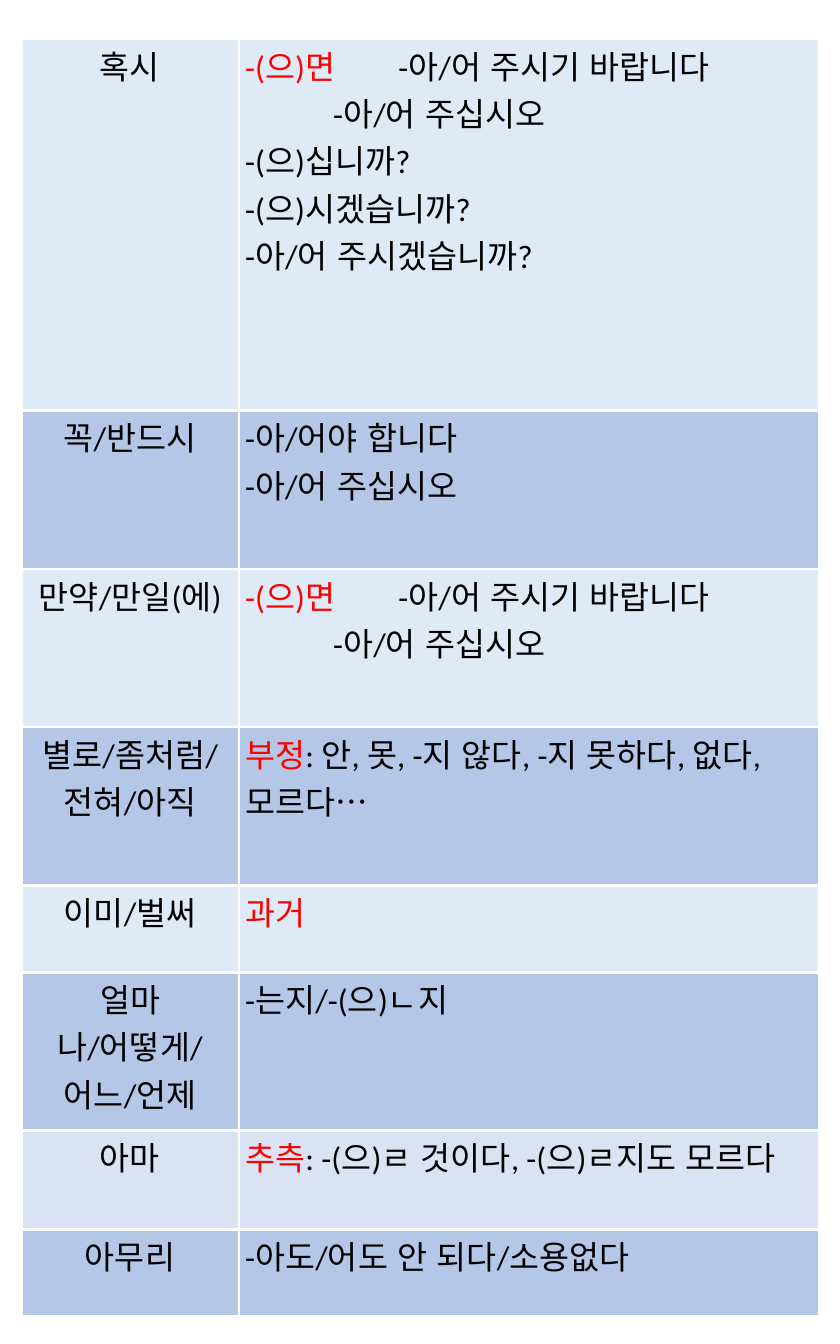
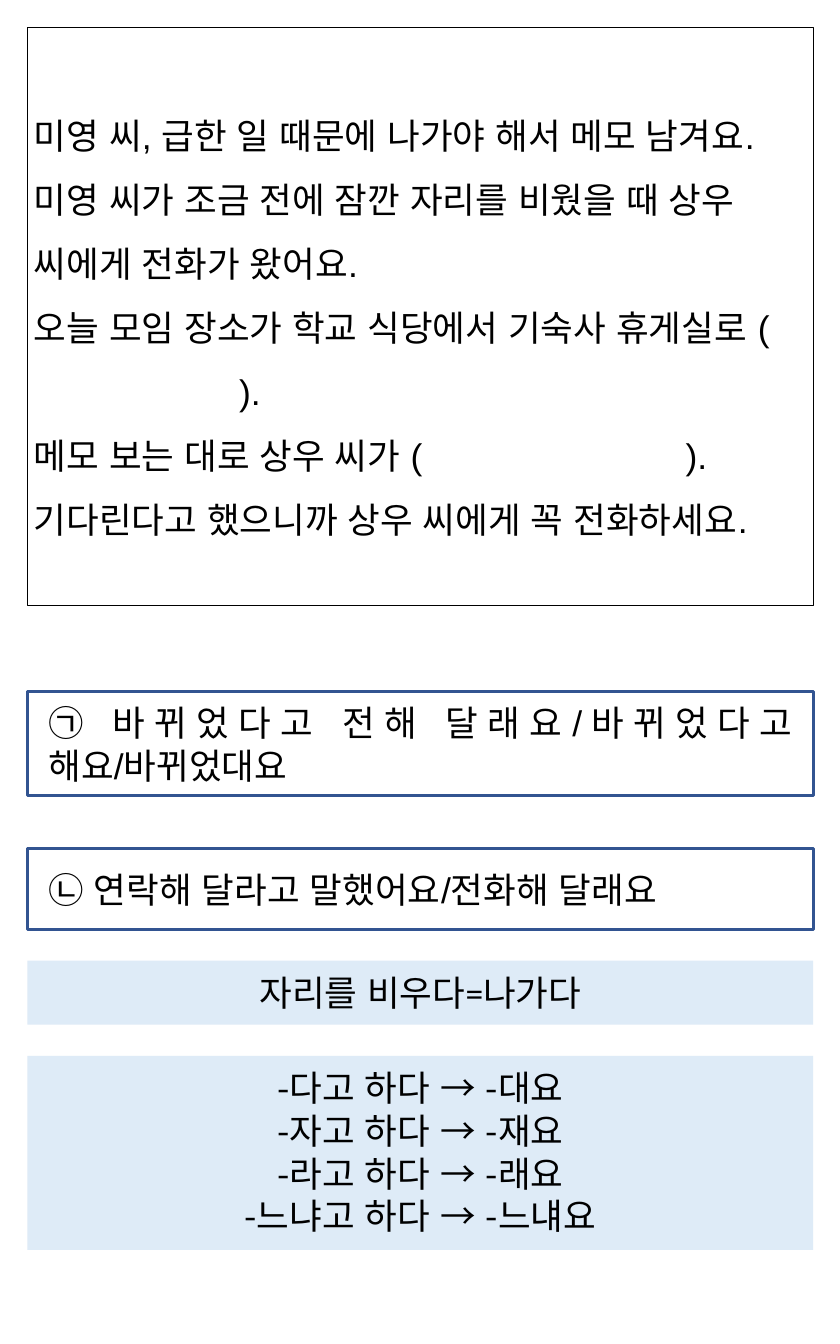
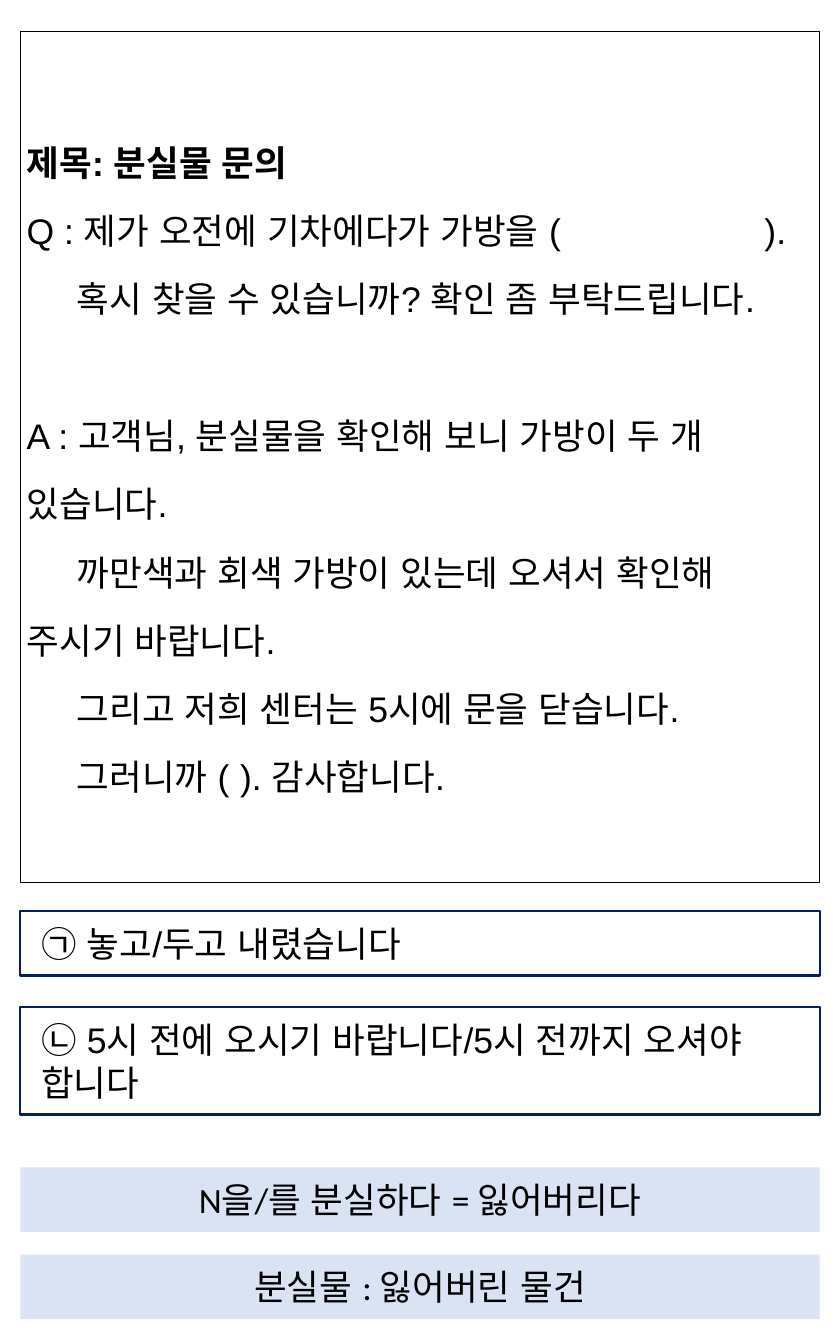
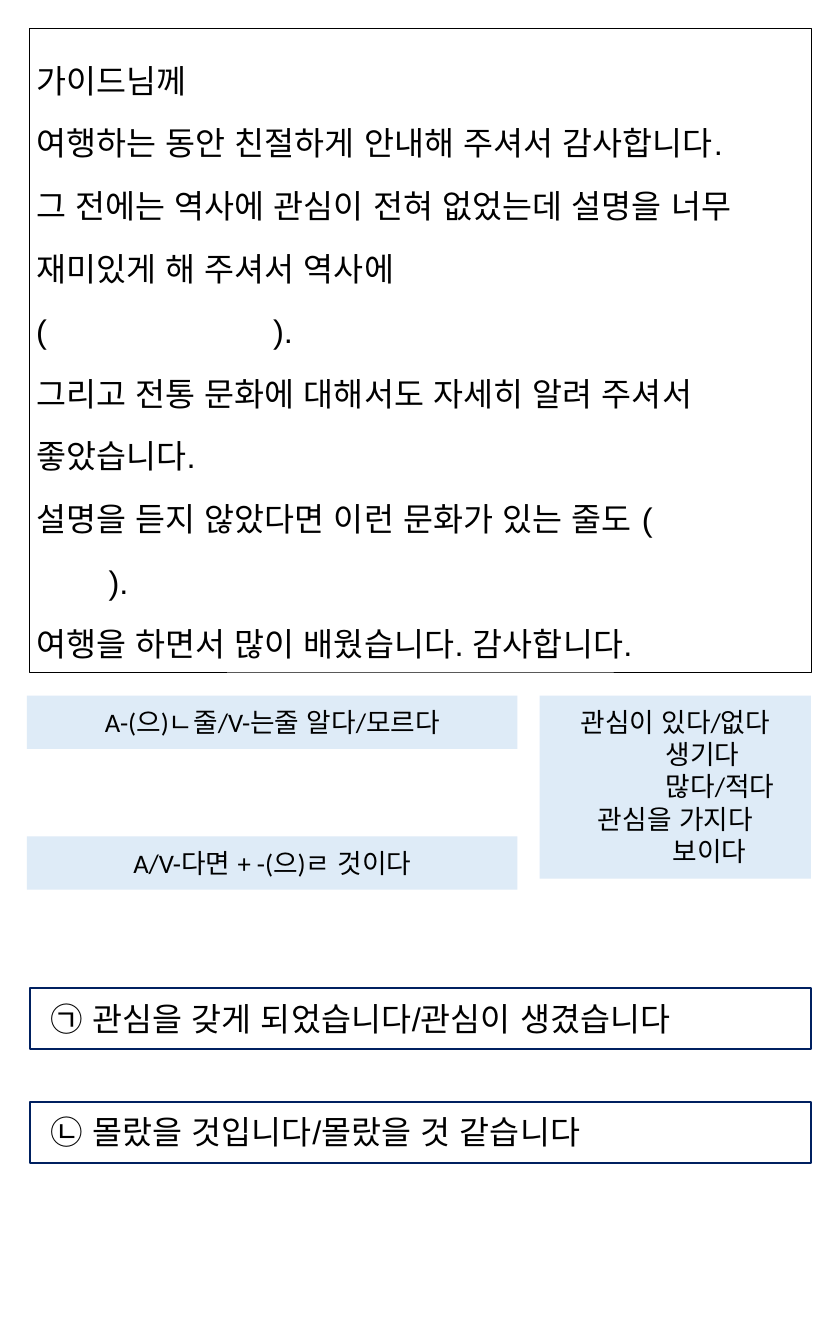
from dataclasses import dataclass

from lxml import etree
from pptx import Presentation
from pptx.dml.color import RGBColor
from pptx.enum.lang import MSO_LANGUAGE_ID
from pptx.enum.shapes import MSO_SHAPE
from pptx.enum.text import MSO_ANCHOR, PP_ALIGN
from pptx.oxml.ns import qn
from pptx.util import Pt

RECT = MSO_SHAPE.RECTANGLE
KOREAN = MSO_LANGUAGE_ID.KOREAN
TOP, MIDDLE = MSO_ANCHOR.TOP, MSO_ANCHOR.MIDDLE
LEFT, CENTER, JUSTIFY = PP_ALIGN.LEFT, PP_ALIGN.CENTER, PP_ALIGN.JUSTIFY

BLACK, WHITE, RED = "000000", "FFFFFF", "FF0000"
PALE, BLUE, LAVENDER = "DEEBF7", "B4C7E7", "DAE3F3"
NAVY, ROYAL = "002060", "325491"
SANS, BODY, HANGUL = "Arial", "Calibri", "Noto Sans CJK KR"
TIGHT = (2.16, 0.72)
ROOMY = (7.2, 3.6)


@dataclass
class Para:
    """One paragraph; lead is a red opening, lengths are in points."""
    text: str
    lead: str = ""
    margin: float = 0
    first: float = 0
    tab: float = 0
    before: float = 0
    bold: bool = False
    align: PP_ALIGN | None = None


def rgb(value):
    return RGBColor.from_string(value)


def add_tab(p, position):
    tabs = etree.SubElement(p._p.get_or_add_pPr(), qn("a:tabLst"))
    etree.SubElement(tabs, qn("a:tab"), pos=str(Pt(position)), algn="l")


def style_run(r, size, font, color, bold):
    r.font.size = Pt(size)
    r.font.name = font
    r.font.bold = bold
    r.font.color.rgb = rgb(color)
    r.font.language_id = KOREAN
    etree.SubElement(r._r.get_or_add_rPr(), qn("a:ea"), typeface=HANGUL)


def write(tf, items, size, font, align=LEFT, spacing=None):
    """Fill a text frame from strings and Para items."""
    for i, item in enumerate(items):
        item = Para(item) if isinstance(item, str) else item
        p = tf.paragraphs[0] if i == 0 else tf.add_paragraph()
        p.text = item.lead or item.text
        if item.lead:
            p.add_run().text = item.text
        if item.tab:
            add_tab(p, item.tab)
        p.alignment = item.align or align
        if spacing:
            p.line_spacing = spacing
        if item.before:
            p.space_before = Pt(item.before)
        if item.margin or item.first:
            pPr = p._p.get_or_add_pPr()
            pPr.set("marL", str(Pt(item.margin)))
            pPr.set("indent", str(Pt(item.first)))
        for j, r in enumerate(p.runs):
            color = RED if item.lead and j == 0 else BLACK
            style_run(r, size, font, color, item.bold)


def add_box(s, box, fill=None, line=None, width=0, insets=ROOMY, anchor=TOP):
    sp = s.shapes.add_shape(RECT, *map(Pt, box))
    sp.shadow.inherit = False
    if fill:
        sp.fill.solid()
        sp.fill.fore_color.rgb = rgb(fill)
    else:
        sp.fill.background()
    if line:
        sp.line.color.rgb = rgb(line)
        sp.line.width = Pt(width)
    else:
        sp.line.fill.background()
    tf = sp.text_frame
    tf.word_wrap = True
    tf.vertical_anchor = anchor
    tf.margin_left = tf.margin_right = Pt(insets[0])
    tf.margin_top = tf.margin_bottom = Pt(insets[1])
    return tf


def add_passage(s, box, items, size, spacing):
    tf = add_box(s, box, WHITE, BLACK, 0.28, TIGHT, MIDDLE)
    write(tf, items, size, SANS, spacing=spacing)


def add_answer(s, box, text, size=12, line=NAVY, width=0.75, anchor=TOP, align=LEFT):
    tf = add_box(s, box, line=line, width=width, anchor=anchor)
    write(tf, [text], size, SANS, align)


def add_hint(s, box, items, size=12, fill=PALE, font=BODY):
    write(add_box(s, box, fill), items, size, font, CENTER)


def add_adverb_table(s, box, widths, rows):
    """Each row is (height, fill, adverb lines, pattern lines)."""
    table = s.shapes.add_table(len(rows), len(widths), *map(Pt, box)).table
    table.first_row = table.horz_banding = False
    for column, width in zip(table.columns, widths):
        column.width = Pt(width)
    for row, (height, fill, adverbs, patterns) in zip(table.rows, rows):
        row.height = Pt(height)
        for cell, items, align in zip(row.cells, (adverbs, patterns), (CENTER, LEFT)):
            cell.fill.solid()
            cell.fill.fore_color.rgb = rgb(fill)
            cell.margin_left = cell.margin_right = Pt(TIGHT[0])
            cell.margin_top = cell.margin_bottom = Pt(TIGHT[1])
            write(cell.text_frame, items, 11, BODY, align)


def adverb_slide(s):
    request = [
        Para("-아/어 주시기 바랍니다", lead="-(으)면\t", tab=51.7),
        Para("-아/어 주십시오", margin=29.7),
    ]
    short, tall = 29.4, 53.4
    add_adverb_table(s, (7.2, 13.2, 269.3, 427.5), (73.4, 195.9), [
        (125.4, PALE, ["혹시"], request + [
            "-(으)십니까?", "-(으)시겠습니까?", "-아/어 주시겠습니까?"]),
        (tall, BLUE, ["꼭/반드시"], ["-아/어야 합니다", "-아/어 주십시오"]),
        (tall, PALE, ["만약/만일(에)"], request),
        (tall, BLUE, ["별로/좀처럼/", "전혀/아직"],
         [Para(": 안, 못, -지 않다, -지 못하다, 없다, 모르다…", lead="부정")]),
        (short, PALE, ["이미/벌써"], [Para("", lead="과거")]),
        (tall, BLUE, ["얼마나/어떻게/", "어느/언제"], ["-는지/-(으)ㄴ지"]),
        (short, LAVENDER, ["아마"],
         [Para(": -(으)ㄹ 것이다, -(으)ㄹ지도 모르다", lead="추측")]),
        (short, BLUE, ["아무리"], ["-아도/어도 안 되다/소용없다"]),
    ])


def memo_slide(s):
    x, w = 9.3, 265.2
    add_passage(s, (x, 9.3, w, 195), [
        "미영 씨, 급한 일 때문에 나가야 해서 메모 남겨요.",
        "미영 씨가 조금 전에 잠깐 자리를 비웠을 때 상우 씨에게 전화가 왔어요.",
        Para("오늘 모임 장소가 학교 식당에서 기숙사 휴게실로 (\v\t).", tab=69.3),
        Para("메모 보는 대로 상우 씨가 (\t).", tab=220),
        "기다린다고 했으니까 상우 씨에게 꼭 전화하세요.",
    ], 12, 1.5)
    for y, h, text in (
        (233.4, 35.2, "㉠ 바뀌었다고 전해 달래요/바뀌었다고 해요/바뀌었대요"),
        (286.2, 27.6, "㉡ 연락해 달라고 말했어요/전화해 달래요"),
    ):
        add_answer(s, (x, y, w, h), text, 12, ROYAL, 1, MIDDLE, JUSTIFY)
    add_hint(s, (x, 324.2, w, 21.6), ["자리를 비우다=나가다"])
    add_hint(s, (x, 356.3, w, 65.5), [
        "-다고 하다 → -대요",
        "-자고 하다 → -재요",
        "-라고 하다 → -래요",
        "-느냐고 하다 → -느냬요",
    ], font=HANGUL)


def lost_property_slide(s):
    x, w, h = 6.9, 269.8, 21.8
    indent = 16.9
    add_passage(s, (x, 10.5, w, 287.2), [
        Para("제목: 분실물 문의", bold=True),
        Para("Q : 제가 오전에 기차에다가 가방을 (\t).", tab=249),
        Para("혹시 찾을 수 있습니까? 확인 좀 부탁드립니다.", first=indent),
        Para("A : 고객님, 분실물을 확인해 보니 가방이 두 개 있습니다.", before=23.1),
        Para("까만색과 회색 가방이 있는데 오셔서 확인해 주시기 바랍니다.", first=indent),
        Para("그리고 저희 센터는 5시에 문을 닫습니다.", first=indent),
        Para("그러니까 (\t). 감사합니다.", first=indent, tab=140.8),
    ], 12, 1.6)
    add_answer(s, (x, 307.4, w, h), "㉠ 놓고/두고 내렸습니다")
    add_answer(s, (x, 339.9, w, 36.2),
               "㉡ 5시 전에 오시기 바랍니다/5시 전까지 오셔야 합니다")
    add_hint(s, (x, 393.9, w, h), ["N을/를 분실하다 = 잃어버리다"], fill=LAVENDER)
    add_hint(s, (x, 423.3, w, h), ["분실물 : 잃어버린 물건"], fill=LAVENDER)


def thanks_slide(s):
    x, w = 10, 263.7
    add_passage(s, (x, 9.6, w, 217.2), [
        "가이드님께",
        "여행하는 동안 친절하게 안내해 주셔서 감사합니다.",
        "그 전에는 역사에 관심이 전혀 없었는데 설명을 너무 재미있게 해 주셔서 역사에",
        Para("(\t).", tab=80),
        "그리고 전통 문화에 대해서도 자세히 알려 주셔서 좋았습니다.",
        Para("설명을 듣지 않았다면 이런 문화가 있는 줄도 (\v\t).", tab=24.5),
        "여행을 하면서 많이 배웠습니다. 감사합니다.",
    ], 11, 1.6)
    for y, text in ((333.5, "㉠ 관심을 갖게 되었습니다/관심이 생겼습니다"),
                    (371.7, "㉡ 몰랐을 것입니다/몰랐을 것 같습니다")):
        add_answer(s, (x, y, w, 20.6), text, 11)
    add_hint(s, (182.1, 234.7, 91.6, 61.8), [
        "관심이 있다/없다",
        Para("생기다", margin=35.5, align=LEFT),
        Para("많다/적다", margin=35.5, align=LEFT),
        Para("관심을 가지다", margin=12.6, align=LEFT),
        Para("보이다", margin=37.8, align=LEFT),
    ], 9)
    for y, text in ((234.7, "A-(으)ㄴ줄/V-는줄 알다/모르다"),
                    (282.2, "A/V-다면 + -(으)ㄹ 것이다")):
        add_hint(s, (9.1, y, 165.6, 18), [text], 9)


def main():
    prs = Presentation()
    prs.slide_width, prs.slide_height = Pt(283.5), Pt(453.5)
    blank = prs.slide_layouts[6]
    for build in (adverb_slide, memo_slide, lost_property_slide, thanks_slide):
        build(prs.slides.add_slide(blank))
    prs.save("out.pptx")


if __name__ == "__main__":
    main()
